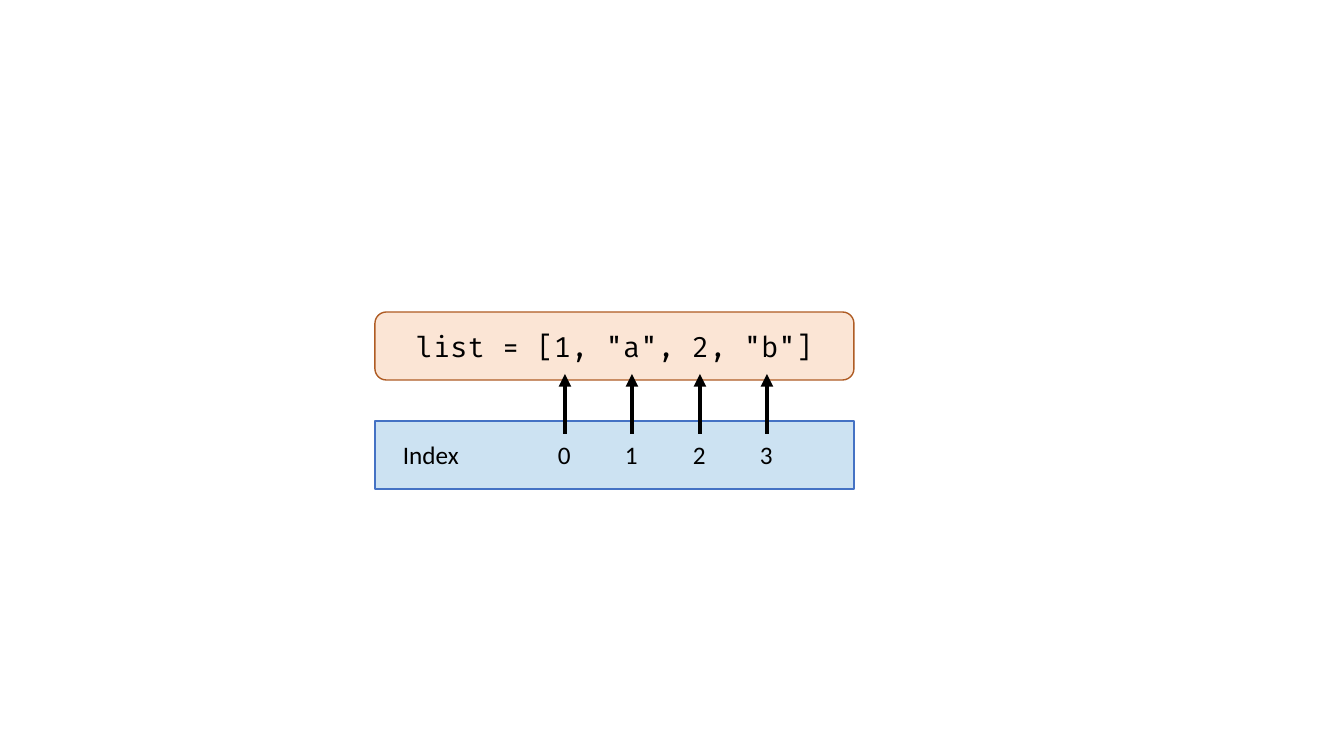
import pptx
import pptx.dml.color
import pptx.enum.shapes
import pptx.enum.text
import pptx.oxml
import pptx.oxml.ns
import pptx.util

PIXELS_PER_INCH = 100.8
COLORS = {
    "text": "000000",
    "arrow": "000000",
    "list_fill": "ED7D31",
    "list_line": "AF5C24",
    "index_fill": "0070C0",
    "index_line": "4472C4",
}
PANEL_LEFT, PANEL_WIDTH, PANEL_HEIGHT = 375, 479, 68
LIST_TOP, INDEX_TOP = 312, 421
LABEL_TOP, LABEL_HEIGHT = 434, 40
ARROW_TIP = 374
FIRST_COLUMN, COLUMN_STEP = 565, 67.5
DIGIT_WIDTH = 33


def px(length):
    return pptx.util.Emu(round(length * 914400 / PIXELS_PER_INCH))


def rgb(name):
    return pptx.dml.color.RGBColor.from_string(COLORS[name])


def add_child(parent, tag, **attributes):
    child = pptx.oxml.parse_xml(f"<{tag} {pptx.oxml.ns.nsdecls('a')}/>")
    for name, value in attributes.items():
        child.set(name, value)
    parent.append(child)


def write(box, text, font, size):
    para = box.text_frame.paragraphs[0]
    span = para.add_run()
    span.text = text
    span.font.name = font
    span.font.size = pptx.util.Pt(size)
    span.font.color.rgb = rgb("text")
    return para


def add_panel(group, top, role, kind):
    panel = group.shapes.add_shape(
        kind, px(PANEL_LEFT), px(top), px(PANEL_WIDTH), px(PANEL_HEIGHT))
    panel.shadow.inherit = False
    panel.fill.solid()
    panel.fill.fore_color.rgb = rgb(role + "_fill")
    tint = panel.fill._xPr.find(".//" + pptx.oxml.ns.qn("a:srgbClr"))
    add_child(tint, "a:alpha", val="20000")
    panel.line.color.rgb = rgb(role + "_line")
    panel.line.width = pptx.util.Pt(1)
    return panel


def add_label(group, text, left, width):
    box = group.shapes.add_textbox(
        px(left), px(LABEL_TOP), px(width), px(LABEL_HEIGHT))
    box.text_frame.word_wrap = False
    box.text_frame.auto_size = pptx.enum.text.MSO_AUTO_SIZE.SHAPE_TO_FIT_TEXT
    write(box, text, "Calibri", 18)


def add_arrow(group, x):
    arrow = group.shapes.add_connector(
        pptx.enum.shapes.MSO_CONNECTOR.STRAIGHT,
        px(x), px(LABEL_TOP), px(x), px(ARROW_TIP))
    arrow.line.color.rgb = rgb("arrow")
    arrow.line.width = pptx.util.Pt(3)
    add_child(arrow.line._get_or_add_ln(), "a:tailEnd", type="triangle")
    add_child(arrow._element.spPr, "a:effectLst")


def main():
    deck = pptx.Presentation()
    deck.slide_width, deck.slide_height = px(1344), px(756)
    page = deck.slides.add_slide(deck.slide_layouts[6])
    group = page.shapes.add_group_shape()
    shapes = pptx.enum.shapes.MSO_SHAPE

    # List expression
    panel = add_panel(group, LIST_TOP, "list", shapes.ROUNDED_RECTANGLE)
    panel.text_frame.vertical_anchor = pptx.enum.text.MSO_ANCHOR.MIDDLE
    para = write(panel, 'list = [1, "a", 2, "b"]', "Fira Code", 20)
    para.alignment = pptx.enum.text.PP_ALIGN.CENTER

    # Index row
    add_panel(group, INDEX_TOP, "index", shapes.RECTANGLE)
    add_label(group, "Index", 393, 77)
    columns = [int(FIRST_COLUMN + COLUMN_STEP * index) for index in range(4)]
    for index, x in enumerate(columns):
        add_label(group, str(index), x - DIGIT_WIDTH // 2 - 1, DIGIT_WIDTH)

    # Arrows from each index to its element
    for x in columns:
        add_arrow(group, x)

    deck.save("out.pptx")


main()
